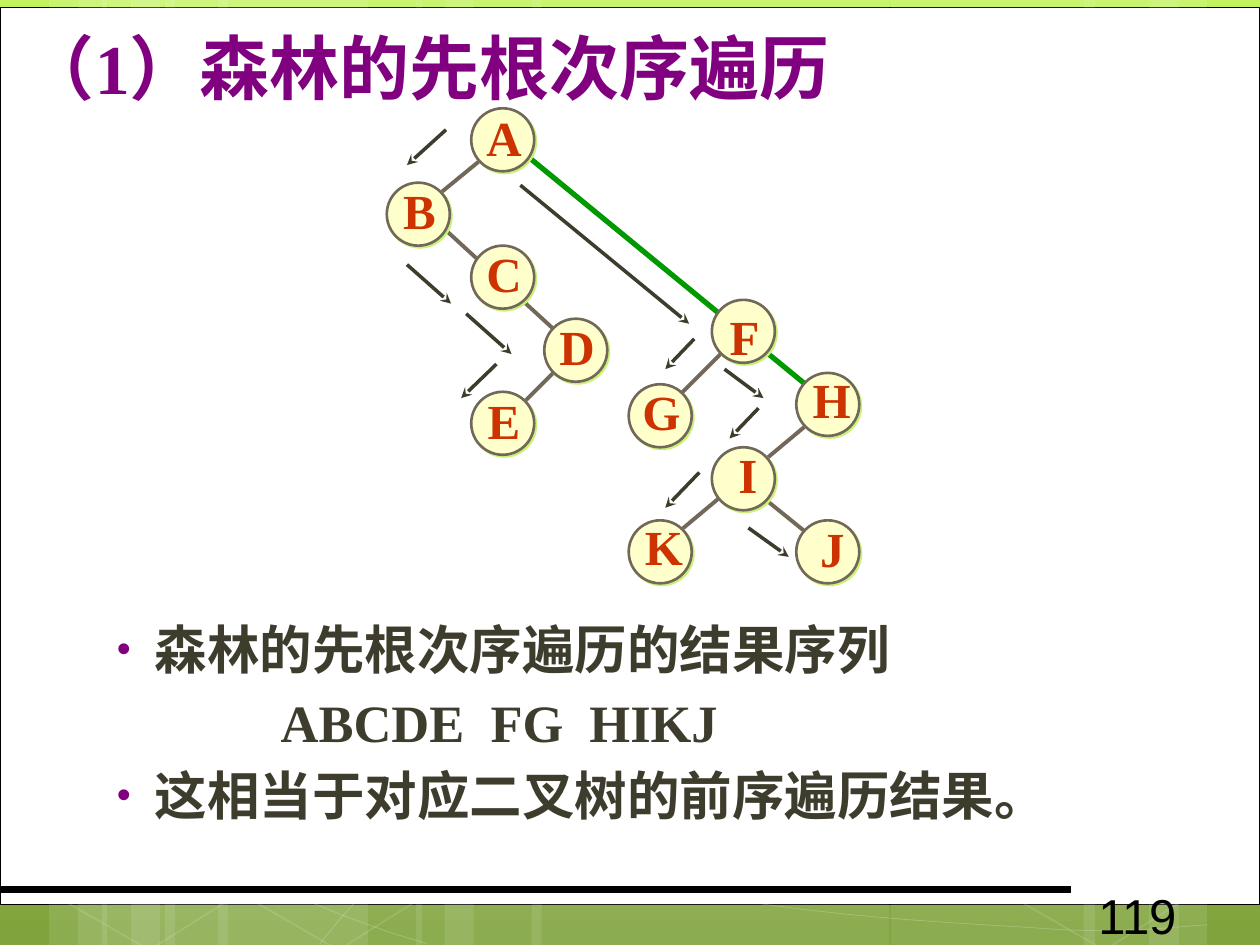
from lxml.etree import SubElement
from pptx import Presentation
from pptx.dml.color import RGBColor
from pptx.enum.shapes import MSO_CONNECTOR as Connector, MSO_SHAPE as Shape
from pptx.enum.text import MSO_ANCHOR as Anchor, PP_ALIGN as Align
from pptx.oxml.ns import qn
from pptx.util import Inches, Pt

WHITE = RGBColor(0xFF, 0xFF, 0xFF)
BLACK = RGBColor(0, 0, 0)
LIME = RGBColor(0xC2, 0xF3, 0x5F)
OLIVE = RGBColor(0x80, 0xA3, 0x3D)
SHADOW = RGBColor(0xCA, 0xF2, 0x78)
CREAM = RGBColor(0xFF, 0xFF, 0xCC)
BROWN = RGBColor(0x71, 0x68, 0x5A)
GREEN = RGBColor(0, 0x99, 0)
DARK = RGBColor(0x3E, 0x3D, 0x2D)
RED = RGBColor(0xCC, 0x33, 0)
PURPLE = RGBColor(0x80, 0, 0x80)
SERIF, SANS = "Times New Roman", "Arial"

# Left and width of the translucent vertical strips
STRIPS = [(1.31, 1.61), (0.39, 0.46), (0.62, 0.77), (1.73, 1.62), (0.81, 0.46),
          (1.04, 0.77), (7.07, 1.62), (9.12, 0.46), (8.6, 0.76), (4.22, 2.84),
          (3.3, 0.46), (3.53, 0.77)]
HEXAGON_LEFTS = [0.41, 1.91, 7.99]
# Bezier curves: a start, then two controls and an end for each piece
CURVES = [
    [(0.36, 6.17), (1.47, 6.72), (2.58, 7.27), (3.39, 7.49)],
    [(0.37, 5.78), (0.66, 5.89), (0.95, 6), (1.49, 6.16),
     (2.02, 6.31), (2.82, 6.56), (3.59, 6.73),
     (4.36, 6.9), (5.33, 7.08), (6.09, 7.18),
     (6.85, 7.29), (7.67, 7.33), (8.16, 7.36),
     (8.64, 7.4), (8.77, 7.38), (9.01, 7.38),
     (9.24, 7.37), (9.41, 7.35), (9.58, 7.34)],
    [(2.54, 7.49), (2.7, 7.29), (2.86, 7.09), (3.09, 6.91),
     (3.31, 6.72), (3.62, 6.53), (3.88, 6.39)],
]

# Name, circle left and top, label left, top and width
NODE_SIZE, LABEL_HEIGHT = 0.5, 0.57
NODES = [
    ("A", 3.74, 0.86, 3.76, 0.8, 0.48), ("B", 3.07, 1.45, 3.1, 1.38, 0.46),
    ("C", 3.74, 1.95, 3.76, 1.88, 0.48), ("D", 4.32, 2.53, 4.34, 2.46, 0.48),
    ("E", 3.74, 3.11, 3.77, 3.05, 0.46), ("F", 5.65, 2.38, 5.69, 2.38, 0.44),
    ("G", 4.99, 3.05, 5, 2.98, 0.5), ("H", 6.32, 2.96, 6.35, 2.88, 0.5),
    ("I", 5.65, 3.55, 5.76, 3.48, 0.35), ("J", 6.32, 4.13, 6.41, 4.06, 0.39),
    ("K", 4.99, 4.13, 5.02, 4.05, 0.5),
]
ROOT_LINK = (4.15, 1.21, 6.49, 3.13)
EDGES = [(4.49, 2.86, 4.07, 3.28), (3.4, 1.7, 4.49, 2.7), (3.9, 1.2, 3.4, 1.61),
         (6.07, 3.96, 6.49, 4.3), (6.49, 3.3, 5.4, 4.21), (5.82, 2.71, 5.32, 3.21)]
VISITS = [(3.54, 1.03, 3.23, 1.31), (3.23, 2.1, 3.58, 2.41), (3.7, 2.49, 4.06, 2.81),
          (3.94, 2.89, 3.66, 3.16), (4.13, 1.47, 5.47, 2.57), (5.51, 2.69, 5.28, 2.93),
          (5.75, 2.93, 6.06, 3.16), (6.02, 3.24, 5.79, 3.48), (5.55, 3.75, 5.28, 4.03),
          (5.94, 4.19, 6.26, 4.42)]


def set_alpha(fill, percent):
    """Make a solid fill translucent."""
    color = fill._xPr.find(qn("a:solidFill"))[0]
    SubElement(color, qn("a:alpha"), val=str(percent * 1000))


def style(shape, fill=None, line=None, weight=1):
    shape.shadow.inherit = False
    if fill is None:
        shape.fill.background()
    else:
        shape.fill.solid()
        shape.fill.fore_color.rgb = fill
    if line is None:
        shape.line.fill.background()
    else:
        shape.line.color.rgb = line
        shape.line.width = Pt(weight)


def add_shape(page, kind, left, top, width, height, **look):
    shape = page.shapes.add_shape(kind, Inches(left), Inches(top), Inches(width), Inches(height))
    style(shape, **look)
    return shape


def add_line(page, ends, color, weight, arrow=False):
    line = page.shapes.add_connector(Connector.STRAIGHT, *map(Inches, ends))
    line.line.color.rgb = color
    line.line.width = Pt(weight)
    if arrow:
        SubElement(line.line._get_or_add_ln(), qn("a:tailEnd"), type="stealth")
    SubElement(line._element.spPr, qn("a:effectLst"))


def add_curve(page, points):
    points = [(Inches(x), Inches(y)) for x, y in points]
    samples = []
    for i in range(0, len(points) - 1, 3):
        a, b, c, d = points[i:i + 4]
        for t in (step / 8 for step in range(1, 9)):
            s = 1 - t
            samples.append(tuple(s**3 * p + 3 * s * s * t * q + 3 * s * t * t * r + t**3 * u
                                 for p, q, r, u in zip(a, b, c, d)))
    builder = page.shapes.build_freeform(*points[0])
    builder.add_line_segments(samples, close=False)
    curve = builder.convert_to_shape()
    style(curve, line=WHITE, weight=0.5)
    set_alpha(curve.line.fill, 20)


def add_box(page, left, top, width, height, wrap=True):
    box = page.shapes.add_textbox(Inches(left), Inches(top), Inches(width), Inches(height))
    box.text_frame.word_wrap = wrap
    return box.text_frame


def format_font(font, size, name, color, bold=True):
    font.size = Pt(size)
    font.name = name
    font.bold = bold
    font.color.rgb = color


def set_indent(para, left, first=0):
    props = para._p.get_or_add_pPr()
    props.set("marL", str(Inches(left)))
    props.set("indent", str(Inches(first)))
    return props


def add_bullet(para):
    props = set_indent(para, 0.38, -0.3)
    SubElement(SubElement(props, qn("a:buClr")), qn("a:srgbClr"), val=str(PURPLE))
    SubElement(props, qn("a:buSzPct"), val="76000")
    SubElement(props, qn("a:buFont"), typeface=SANS)
    SubElement(props, qn("a:buChar"), char="•")


def add_node(page, name, left, top, label_left, label_top, label_width):
    circle = add_shape(page, Shape.OVAL, left, top, NODE_SIZE, NODE_SIZE,
                       fill=CREAM, line=BROWN, weight=1.5)
    effects = circle._element.spPr.find(qn("a:effectLst"))
    shadow = SubElement(effects, qn("a:outerShdw"), dist=str(Pt(1.4)), dir="2700000")
    SubElement(shadow, qn("a:srgbClr"), val=str(SHADOW))
    label = add_box(page, label_left, label_top, label_width, LABEL_HEIGHT, wrap=False)
    label.vertical_anchor = Anchor.MIDDLE
    label.text = name
    para = label.paragraphs[0]
    para.alignment = Align.CENTER
    format_font(para.runs[0].font, 28, SERIF, RED)


def add_backdrop(page):
    fill = page.background.fill
    fill.gradient()
    fill.gradient_angle = 270
    for stop, color, position in zip(fill.gradient_stops, (LIME, OLIVE), (0, 1)):
        stop.color.rgb = color
        stop.position = position
    add_shape(page, Shape.RECTANGLE, 0, 0.06, 10, 7.12, fill=WHITE, line=BLACK, weight=0.5)
    for left, width in STRIPS:
        strip = add_shape(page, Shape.RECTANGLE, left, 0, width, 7.5, fill=WHITE)
        set_alpha(strip.fill, 10)
    for points in CURVES:
        add_curve(page, points)
    for left in HEXAGON_LEFTS:
        hexagon = add_shape(page, Shape.HEXAGON, left, 5.92, 1.61, 1.52, line=WHITE)
        hexagon.adjustments[0] = 0.263
        hexagon.rotation = 30
        set_alpha(hexagon.line.fill, 12)
    add_line(page, (0, 7.06, 8.5, 7.06), BLACK, 4.5)


def add_tree(page):
    add_line(page, ROOT_LINK, GREEN, 3)
    for ends in EDGES:
        add_line(page, ends, BROWN, 2.25)
    for node in NODES:
        add_node(page, *node)
    for ends in VISITS:
        add_line(page, ends, DARK, 2, arrow=True)


def add_texts(page):
    # Title
    para = add_box(page, 0.03, 0.08, 7.76, 0.84).paragraphs[0]
    set_indent(para, 0.07)
    para.line_spacing = 1.1
    for text, name in (("（1）", SERIF), ("森林的先根次序遍历", SANS)):
        span = para.add_run()
        span.text = text
        format_font(span.font, 40, name, PURPLE)
    # Result of the traversal
    body = add_box(page, 0.75, 4.85, 9, 2.01)
    body.text = "森林的先根次序遍历的结果序列\nABCDE  FG  HIKJ\n这相当于对应二叉树的前序遍历结果。"
    for i, para in enumerate(body.paragraphs):
        if i == 1:
            set_indent(para, 1.38)
        else:
            add_bullet(para)
        if i:
            para.space_before = Pt(5.6)
        format_font(para.runs[0].font, 30, SERIF, DARK)
    # Page number
    number = add_box(page, 8.62, 6.98, 1.46, 0.4)
    number.text = "119"
    format_font(number.paragraphs[0].runs[0].font, 28, SANS, BLACK, bold=False)


def main():
    deck = Presentation()
    deck.slide_width, deck.slide_height = Inches(10), Inches(7.5)
    page = deck.slides.add_slide(deck.slide_layouts[6])
    add_backdrop(page)
    add_tree(page)
    add_texts(page)
    deck.save("out.pptx")


if __name__ == "__main__":
    main()
